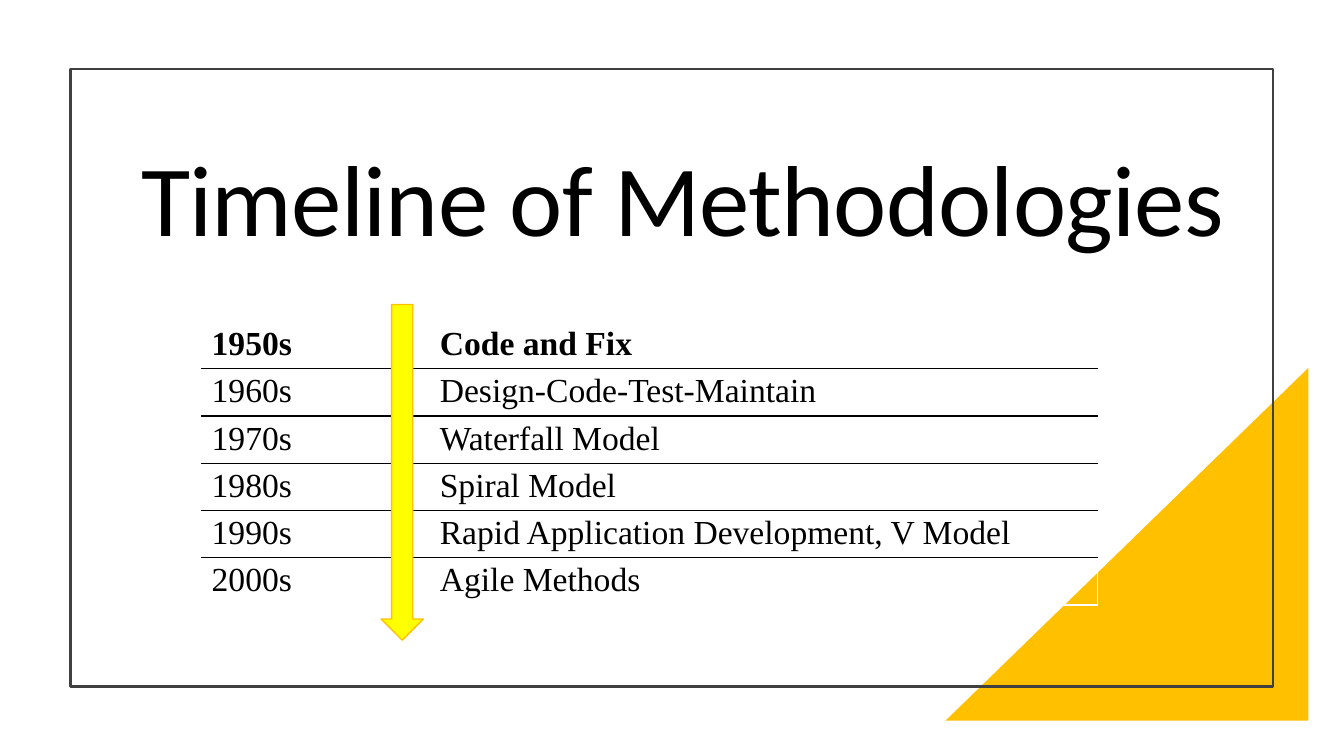
from lxml.etree import SubElement
from pptx import Presentation
from pptx.dml.color import RGBColor
from pptx.enum.shapes import MSO_SHAPE as Preset
from pptx.enum.text import MSO_ANCHOR as Anchor, MSO_AUTO_SIZE as AutoSize, PP_ALIGN as Align
from pptx.oxml.ns import qn
from pptx.util import Pt

BLACK = RGBColor(0x00, 0x00, 0x00)
WHITE = RGBColor(0xFF, 0xFF, 0xFF)
GREY = RGBColor(0x40, 0x40, 0x40)
AMBER = RGBColor(0xFF, 0xC0, 0x00)
YELLOW = RGBColor(0xFF, 0xFF, 0x00)

TIMELINE = [
    ("1950s", "Code and Fix"),
    ("1960s", "Design-Code-Test-Maintain"),
    ("1970s", "Waterfall Model"),
    ("1980s", "Spiral Model"),
    ("1990s", "Rapid Application Development, V Model"),
    ("2000s", "Agile Methods"),
]


class SlideBuilder:
    title_font = "Calibri"
    table_font = "Times New Roman"
    title_size = 72
    table_size = 24
    row_height = 33.75
    cell_insets = (7.2, 31.2)

    def __init__(self, deck):
        self.page = deck.slides.add_slide(deck.slide_layouts[5])

    def add_span(self, para, text, font, size, bold=False):
        span = para.add_run()
        span.text = text
        span.font.name = font
        span.font.size = Pt(size)
        span.font.bold = bold
        span.font.color.rgb = BLACK
        return span

    def title(self, text, left, top, width, height):
        box = self.page.shapes.title
        box.left, box.top, box.width, box.height = map(Pt, (left, top, width, height))
        frame = box.text_frame
        frame.word_wrap = True
        frame.auto_size = AutoSize.NONE
        frame.vertical_anchor = Anchor.MIDDLE
        para = frame.paragraphs[0]
        para.alignment = Align.LEFT
        para.line_spacing = 0.9
        properties = para._p.get_or_add_pPr()
        properties.set("marL", str(Pt(18)))
        properties.set("indent", "0")
        span = self.add_span(para, text, self.title_font, self.title_size)
        span.font._element.set("spc", "-50")

    def shape(self, preset, left, top, width, height, fill=None, line=None, weight=1, flip=False):
        shape = self.page.shapes.add_shape(preset, *map(Pt, (left, top, width, height)))
        shape.shadow.inherit = False
        if fill is None:
            shape.fill.background()
        else:
            shape.fill.solid()
            shape.fill.fore_color.rgb = fill
        if line is None:
            shape.line.fill.background()
        else:
            shape.line.color.rgb = line
            shape.line.width = Pt(weight)
        if flip:
            shape._element.spPr.find(qn("a:xfrm")).set("flipH", "1")

    def borders(self, cell, colours):
        properties = cell._tc.get_or_add_tcPr()
        for side, colour in zip("LRTB", colours):
            line = SubElement(properties, qn(f"a:ln{side}"), w=str(Pt(1)))
            fill = SubElement(line, qn("a:solidFill"))
            SubElement(fill, qn("a:srgbClr"), val=str(colour))

    def table(self, rows, left, top, widths):
        table = self.page.shapes.add_table(
            len(rows), len(widths), Pt(left), Pt(top),
            Pt(sum(widths)), Pt(self.row_height * len(rows))).table
        table.horz_banding = False
        for column, width in zip(table.columns, widths):
            column.width = Pt(width)
        last_row, last_col = len(rows) - 1, len(widths) - 1
        for r, texts in enumerate(rows):
            table.rows[r].height = Pt(self.row_height)
            for c, text in enumerate(texts):
                cell = table.cell(r, c)
                # Outer edges are white, inner ones black
                outer = (c == 0, c == last_col, r == 0, r == last_row)
                self.borders(cell, [WHITE if edge else BLACK for edge in outer])
                cell.fill.background()
                cell.margin_left = Pt(self.cell_insets[c])
                cell.margin_top = cell.margin_bottom = Pt(3)
                para = cell.text_frame.paragraphs[0]
                self.add_span(para, text, self.table_font, self.table_size, bold=r == 0)


def main():
    deck = Presentation()
    deck.slide_width, deck.slide_height = Pt(960), Pt(540)
    slide = SlideBuilder(deck)

    # Corner triangle and frame
    slide.shape(Preset.RIGHT_TRIANGLE, 675.4, 262.8, 259.2, 252, fill=AMBER, flip=True)
    slide.shape(Preset.RECTANGLE, 50.4, 49, 859, 441.4, line=GREY, weight=1.5)

    # Title
    slide.title("Timeline of Methodologies", 75.6, 82, 833, 127.5)

    # Timeline table with the arrow of time
    slide.table(TIMELINE, 144, 229.7, (139, 501))
    slide.shape(Preset.DOWN_ARROW, 272.2, 217.5, 30.2, 239.8, fill=YELLOW, line=AMBER)

    deck.save("out.pptx")


if __name__ == "__main__":
    main()
